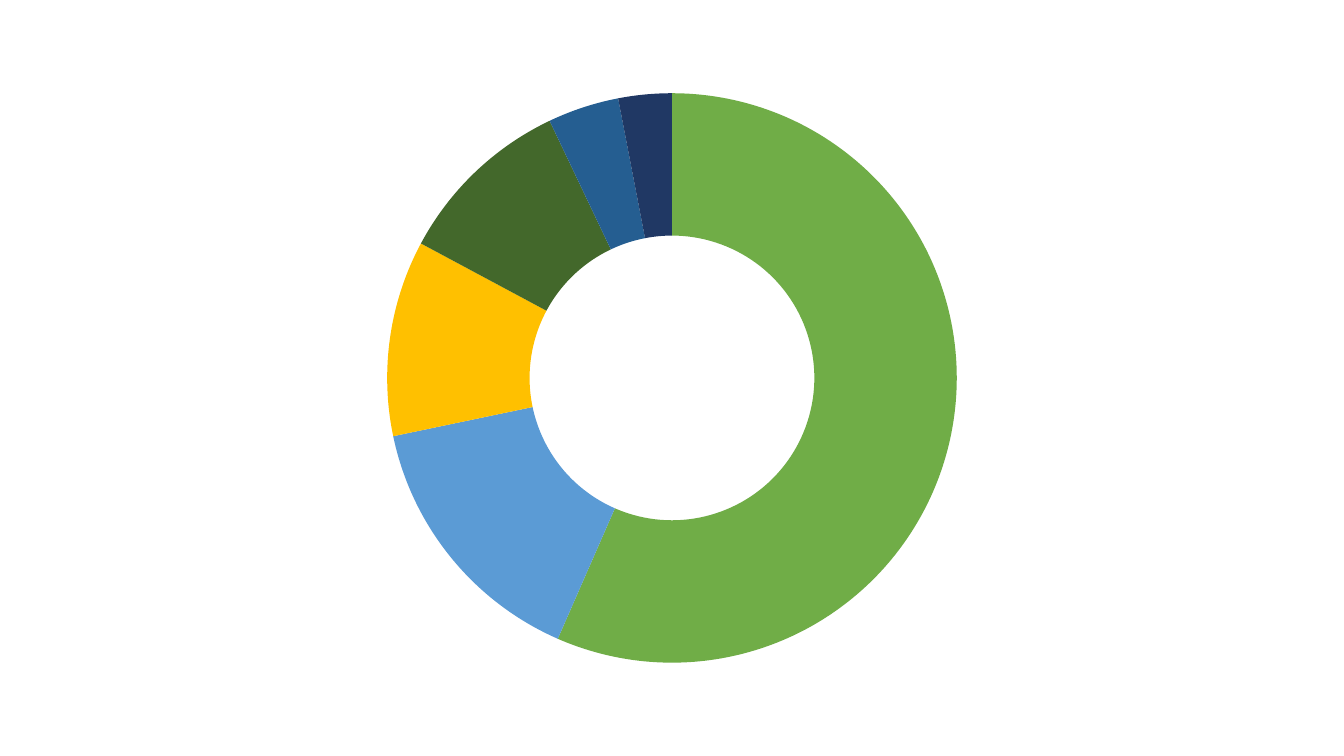
from dataclasses import dataclass

from lxml.etree import SubElement
from pptx import Presentation
from pptx.chart.data import CategoryChartData
from pptx.dml.color import RGBColor
from pptx.enum.chart import XL_CHART_TYPE
from pptx.oxml.ns import qn
from pptx.util import Inches, Pt


@dataclass(frozen=True)
class Theme:
    font: str = "Noto Sans CJK KR"
    size: int = 10
    text: str = "000000"
    background: str = "FFFFFF"
    slices: tuple = ("70AD47", "5B9BD5", "FFC000",
                     "43682B", "255E91", "203864")


THEME = Theme()
SHARES = (56, 15, 11, 10, 4, 3)
CHART_WIDTH, CHART_HEIGHT = 8.89, 5.93
RING_DIAMETER = 5.65
HOLE_PERCENT = 35


def center_plot(chart, width, height):
    """Centre the plot area, sized as shares of the chart frame."""
    plot_area = chart.plots[0]._element.getparent()
    layout = plot_area.find(qn("c:layout"))
    if layout is None:
        layout = SubElement(plot_area, qn("c:layout"))
        plot_area.insert(0, layout)
    manual = SubElement(layout, qn("c:manualLayout"))
    for tag, value in (
        ("layoutTarget", "inner"), ("xMode", "edge"), ("yMode", "edge"),
        ("x", (1 - width) / 2), ("y", (1 - height) / 2),
        ("w", width), ("h", height),
    ):
        SubElement(manual, qn(f"c:{tag}")).set("val", str(value))


def set_hole(plot, percent):
    hole = plot._element.find(qn("c:holeSize"))
    if hole is None:
        hole = SubElement(plot._element, qn("c:holeSize"))
    hole.set("val", str(percent))


def color_slices(series, colors):
    for i, color in enumerate(colors):
        fmt = series.points[i].format
        fmt.fill.solid()
        fmt.fill.fore_color.rgb = RGBColor.from_string(color)
        fmt.line.fill.background()


def add_doughnut(s, left, top, width, height):
    data = CategoryChartData()
    data.categories = [str(i) for i in range(1, len(SHARES) + 1)]
    data.add_series("Series 1", SHARES)
    chart = s.shapes.add_chart(
        XL_CHART_TYPE.DOUGHNUT, left, top, width, height, data).chart
    chart.has_title = False
    chart.has_legend = False
    chart.font.name = THEME.font
    chart.font.size = Pt(THEME.size)
    chart.font.color.rgb = RGBColor.from_string(THEME.text)
    plot = chart.plots[0]
    plot.has_data_labels = False
    plot.vary_by_categories = True
    set_hole(plot, HOLE_PERCENT)
    color_slices(plot.series[0], THEME.slices)
    center_plot(chart, RING_DIAMETER / CHART_WIDTH,
                RING_DIAMETER / CHART_HEIGHT)


def main():
    prs = Presentation()
    prs.slide_width, prs.slide_height = Inches(13.33), Inches(7.5)
    s = prs.slides.add_slide(prs.slide_layouts[6])
    s.background.fill.solid()
    s.background.fill.fore_color.rgb = RGBColor.from_string(THEME.background)
    width, height = Inches(CHART_WIDTH), Inches(CHART_HEIGHT)
    add_doughnut(s, (prs.slide_width - width) // 2,
                 (prs.slide_height - height) // 2, width, height)
    prs.save("out.pptx")


if __name__ == "__main__":
    main()
